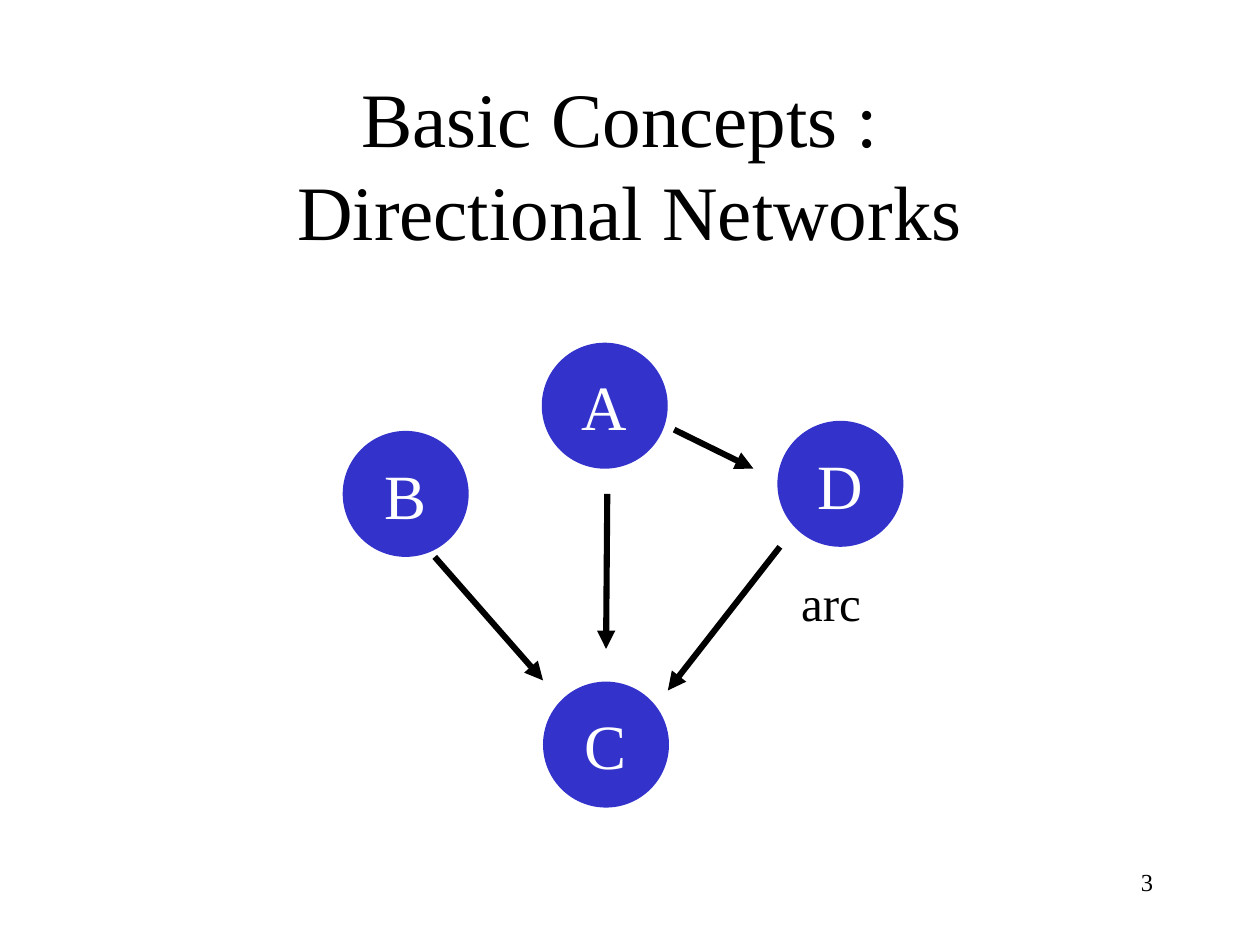
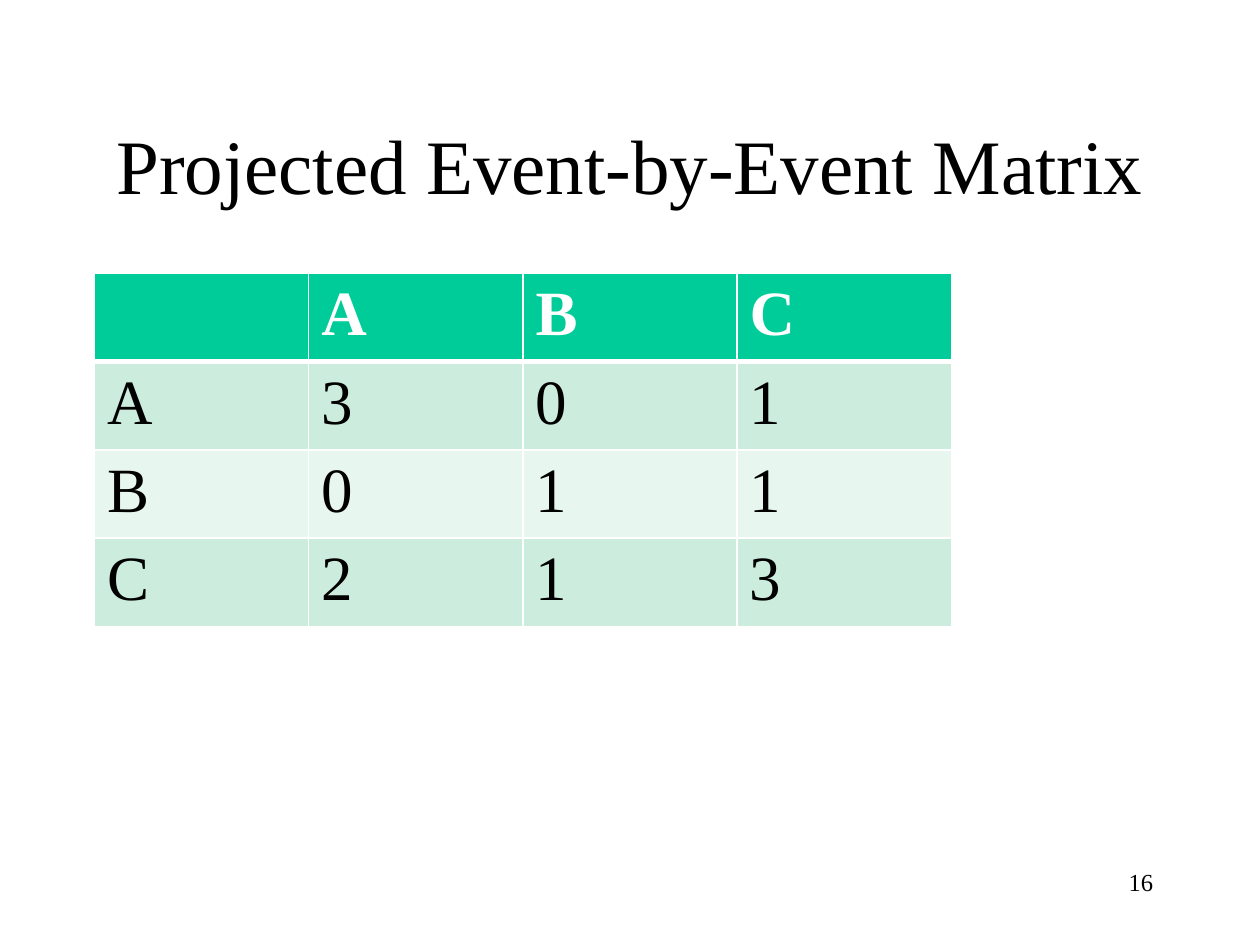
from lxml import etree
from pptx import Presentation
from pptx import util as u
from pptx.dml.color import RGBColor
from pptx.enum import shapes, text
from pptx.oxml.ns import qn

PX = 9144
BLACK = RGBColor(0, 0, 0)
WHITE = RGBColor(255, 255, 255)
BLUE = RGBColor(0x33, 0x33, 0xCC)
GREEN = RGBColor(0x00, 0xCC, 0x99)
MINT = RGBColor(0xCC, 0xEC, 0xDE)
PALE = RGBColor(0xE7, 0xF6, 0xEF)
FACE = "Times New Roman"
LEFT, MID, RIGHT = text.PP_ALIGN.LEFT, text.PP_ALIGN.CENTER, text.PP_ALIGN.RIGHT

HEAD = dict(size=u.Pt(44))
NODE = dict(size=u.Pt(36), color=WHITE)
LABEL = dict(size=u.Pt(28))
FOOT = dict(size=u.Pt(14))
TOP = dict(size=u.Pt(36), color=WHITE, bold=True)
BODY = dict(size=u.Pt(36), bold=False)

SIZE = 100
NODES = {"B": (272, 342), "A": (430, 272), "D": (617, 334), "C": (431, 541)}
ARCS = [
    (482, 392, 481, 515),
    (619, 434, 530, 548),
    (345, 442, 431, 540),
    (535, 341, 598, 372),
]
MATRIX = [
    ["", "A", "B", "C"],
    ["A", "3", "0", "1"],
    ["B", "0", "1", "1"],
    ["C", "2", "1", "3"],
]


class Deck:
    def __init__(self):
        self.prs = Presentation()
        self.prs.slide_width, self.prs.slide_height = 1000 * PX, 750 * PX
        self.slide = None

    def page(self, title, number):
        self.slide = self.prs.slides.add_slide(self.prs.slide_layouts[6])
        self.label(title, (75, 67, 850, 125), HEAD)
        self.label(number, (717, 683, 208, 50), FOOT, RIGHT, text.MSO_ANCHOR.TOP)

    def put(self, frame, words, style, align):
        para = frame.paragraphs[0]
        para.text = words
        para.alignment = align
        look = dict(name=FACE, color=BLACK) | style
        for run in para.runs:
            for key, value in look.items():
                if key == "color":
                    run.font.color.rgb = value
                else:
                    setattr(run.font, key, value)

    def label(self, words, box, style, align=MID, anchor=text.MSO_ANCHOR.MIDDLE):
        frame = self.slide.shapes.add_textbox(*(n * PX for n in box)).text_frame
        frame.word_wrap = True
        frame.vertical_anchor = anchor
        self.put(frame, words, style, align)

    def node(self, name, left, top):
        box = (n * PX for n in (left, top, SIZE, SIZE))
        disc = self.slide.shapes.add_shape(shapes.MSO_SHAPE.OVAL, *box)
        disc.shadow.inherit = False
        disc.fill.solid()
        disc.fill.fore_color.rgb = BLUE
        disc.line.fill.background()
        disc.text_frame.vertical_anchor = text.MSO_ANCHOR.MIDDLE
        self.put(disc.text_frame, name, NODE, MID)

    def arrow(self, *ends):
        kind = shapes.MSO_CONNECTOR.STRAIGHT
        arc = self.slide.shapes.add_connector(kind, *(n * PX for n in ends))
        arc.line.color.rgb = BLACK
        arc.line.width = u.Pt(3.5)
        props = arc._element.spPr
        etree.SubElement(props.find(qn("a:ln")), qn("a:tailEnd"), type="triangle")
        etree.SubElement(props, qn("a:effectLst"))

    def edge(self, cell, side, width):
        props = cell._tc.get_or_add_tcPr()
        line = etree.SubElement(props, qn("a:ln" + side), w=str(u.Pt(width)))
        fill = etree.SubElement(line, qn("a:solidFill"))
        etree.SubElement(fill, qn("a:srgbClr"), val=str(WHITE))

    def table(self, rows, left, top, wide, high):
        box = (left, top, wide * len(rows[0]), high * len(rows))
        frame = self.slide.shapes.add_table(
            len(rows), len(rows[0]), *(n * PX for n in box)
        )
        for r, row in enumerate(rows):
            tint = GREEN if r == 0 else MINT if r % 2 else PALE
            heavy = {0: "B", 1: "T"}.get(r)
            for c, words in enumerate(row):
                cell = frame.table.cell(r, c)
                for side in "LRTB":
                    self.edge(cell, side, 3 if side == heavy else 1)
                cell.fill.solid()
                cell.fill.fore_color.rgb = tint
                if words:
                    self.put(cell.text_frame, words, BODY if r else TOP, LEFT)


def main():
    deck = Deck()
    deck.page("Basic Concepts : \vDirectional Networks", "3")
    for name, spot in NODES.items():
        deck.node(name, *spot)
    for ends in ARCS:
        deck.arrow(*ends)
    deck.label("arc", (617, 459, 85, 37), LABEL)

    deck.page("Projected Event-by-Event Matrix", "16")
    deck.table(MATRIX, 75, 217, 170, 41)
    deck.prs.save("out.pptx")


if __name__ == "__main__":
    main()
